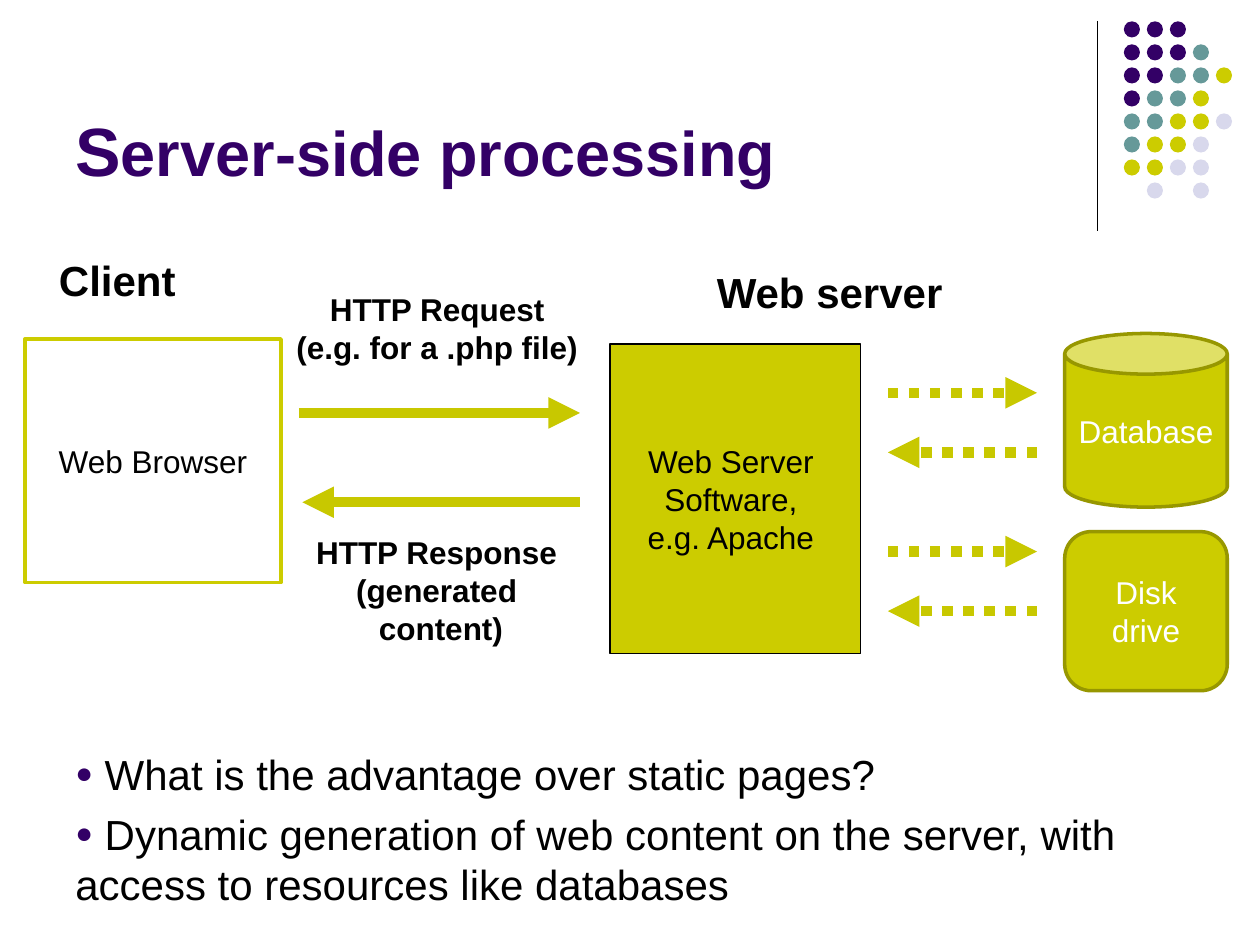
"""Build the slide on server-side processing between client and web server."""
import lxml.etree
import pptx
import pptx.dml.color
import pptx.enum.dml
import pptx.enum.shapes
import pptx.enum.text
import pptx.oxml.ns
import pptx.util

Pt = pptx.util.Pt
RGBColor = pptx.dml.color.RGBColor
MSO_SHAPE = pptx.enum.shapes.MSO_SHAPE
ANCHOR = pptx.enum.text.MSO_ANCHOR
ALIGN = pptx.enum.text.PP_ALIGN

PURPLE = RGBColor(0x33, 0x00, 0x66)
TEAL = RGBColor(0x66, 0x99, 0x99)
LIME = RGBColor(0xCC, 0xCC, 0x00)
LAVENDER = RGBColor(0xD8, 0xD8, 0xEC)
OLIVE = RGBColor(0x97, 0x97, 0x00)
ARROW = RGBColor(0xC8, 0xC8, 0x00)
BLACK = RGBColor(0, 0, 0)
WHITE = RGBColor(0xFF, 0xFF, 0xFF)

DOT_COLOURS = {"P": PURPLE, "T": TEAL, "L": LIME, "V": LAVENDER}
DOT_ROWS = ["PPP", "PPPT", "PPTTL", "PTTL", "TTLLV", "TLLV", "LLVV", " V V"]
DOT_PITCH = 13.15


def add_child(parent, tag, **attributes):
    return lxml.etree.SubElement(parent, pptx.oxml.ns.qn(tag), attributes)


def style_font(font, size, colour, bold=False):
    font.name = "Arial"
    font.size = Pt(size)
    font.bold = bold
    font.color.rgb = colour


def write_lines(frame, lines, size, colour, bold=False, align=ALIGN.CENTER):
    for index, line in enumerate(lines):
        paragraph = frame.paragraphs[0] if index == 0 else frame.add_paragraph()
        paragraph.text = line
        paragraph.alignment = align
        style_font(paragraph.font, size, colour, bold)


def add_text_box(slide, left, top, width, height, wrap=False):
    frame = slide.shapes.add_textbox(Pt(left), Pt(top), Pt(width), Pt(height)).text_frame
    frame.word_wrap = wrap
    return frame


def add_label(slide, box, lines, size, align=ALIGN.CENTER):
    write_lines(add_text_box(slide, *box), lines, size, BLACK, True, align)


def add_node(slide, kind, box, fill, outline=None, weight=2):
    node = slide.shapes.add_shape(kind, *map(Pt, box))
    node.shadow.inherit = False
    node.fill.solid()
    node.fill.fore_color.rgb = fill
    if outline is None:
        node.line.fill.background()
    else:
        node.line.color.rgb = outline
        node.line.width = Pt(weight)
    return node


def add_labelled_node(slide, kind, box, fill, outline, lines, colour, weight=2, wrap=True):
    frame = add_node(slide, kind, box, fill, outline, weight).text_frame
    frame.word_wrap = wrap
    frame.vertical_anchor = ANCHOR.MIDDLE
    write_lines(frame, lines, 18, colour)


def add_line(slide, x1, y1, x2, y2, colour, weight):
    line = slide.shapes.add_connector(
        pptx.enum.shapes.MSO_CONNECTOR.STRAIGHT, Pt(x1), Pt(y1), Pt(x2), Pt(y2))
    line.line.color.rgb = colour
    line.line.width = Pt(weight)
    add_child(line._element.spPr, "a:effectLst")
    return line


def add_arrow(slide, start, end, y, dotted=False):
    arrow = add_line(slide, start, y, end, y, ARROW, 6)
    if dotted:
        arrow.line.dash_style = pptx.enum.dml.MSO_LINE.ROUND_DOT
    add_child(arrow.line._get_or_add_ln(), "a:tailEnd", type="triangle")


def add_dot_pattern(slide):
    add_line(slide, 627, 12, 627, 132, BLACK, 0.75)
    for row, codes in enumerate(DOT_ROWS):
        for column, code in enumerate(codes):
            if code in DOT_COLOURS:
                box = (642.2 + column * DOT_PITCH, 12.2 + row * DOT_PITCH, 9.2, 9.2)
                add_node(slide, MSO_SHAPE.OVAL, box, DOT_COLOURS[code])


def add_title(slide):
    frame = add_text_box(slide, 36, 9, 594, 103, wrap=True)
    frame.vertical_anchor = ANCHOR.BOTTOM
    for text, size in (("S", 39), ("erver-side processing", 36)):
        run = frame.paragraphs[0].add_run()
        run.text = text
        style_font(run.font, size, PURPLE, True)


def add_bullets(slide, lines):
    frame = add_text_box(slide, 36, 424, 648, 96, wrap=True)
    write_lines(frame, lines, 24, BLACK, align=ALIGN.LEFT)
    for index, paragraph in enumerate(frame.paragraphs):
        if index:
            paragraph.space_before = Pt(5.5)
        bullet = [lxml.etree.Element(pptx.oxml.ns.qn(tag)) for tag in
                  ("a:buClr", "a:buSzPct", "a:buFont", "a:buChar")]
        add_child(bullet[0], "a:srgbClr", val=str(PURPLE))
        bullet[1].set("val", "70000")
        bullet[2].set("typeface", "Arial")
        bullet[3].set("char", "●")
        properties = paragraph._p.get_or_add_pPr()
        defaults = properties.find(pptx.oxml.ns.qn("a:defRPr"))
        for element in bullet:
            defaults.addprevious(element)


def main():
    deck = pptx.Presentation()
    deck.slide_width, deck.slide_height = Pt(720), Pt(540)
    slide = deck.slides.add_slide(deck.slide_layouts[6])

    add_dot_pattern(slide)
    add_title(slide)
    add_bullets(slide, [
        " What is the advantage over static pages?",
        " Dynamic generation of web content on the server, "
        "with access to resources like databases"])

    add_label(slide, (172.8, 301, 158.4, 72.7),
              ["HTTP Response ", "(generated ", "content)"], 18)
    add_label(slide, (161.3, 162, 177.1, 51),
              ["HTTP Request", "(e.g. for a .php file)"], 18)
    add_label(slide, (26.6, 141.8, 82, 36.7), ["Client"], 24, ALIGN.LEFT)
    add_label(slide, (402.5, 148.5, 144.7, 36.7), ["Web server"], 24, ALIGN.LEFT)

    add_labelled_node(slide, MSO_SHAPE.RECTANGLE, (348.5, 196.6, 143.3, 177), LIME, BLACK,
                      ["Web Server ", "Software, ", "e.g. Apache "], BLACK, 0.75, False)
    add_labelled_node(slide, MSO_SHAPE.CAN, (608.4, 190.6, 92.9, 99.2), LIME, OLIVE,
                      ["Database"], WHITE)
    add_labelled_node(slide, MSO_SHAPE.RECTANGLE, (14.2, 193.7, 146.4, 139.2), WHITE, LIME,
                      ["Web Browser"], BLACK)
    add_labelled_node(slide, MSO_SHAPE.ROUNDED_RECTANGLE, (608.4, 303.8, 92.9, 90.9), LIME,
                      OLIVE, ["Disk drive"], WHITE)

    add_arrow(slide, 170.8, 331.4, 236)
    add_arrow(slide, 331.4, 172.8, 287)
    for request_y in (224.5, 315.2):
        add_arrow(slide, 507.4, 592.6, request_y, dotted=True)
        add_arrow(slide, 592.6, 507.4, request_y + 34, dotted=True)

    deck.save("out.pptx")


if __name__ == "__main__":
    main()
